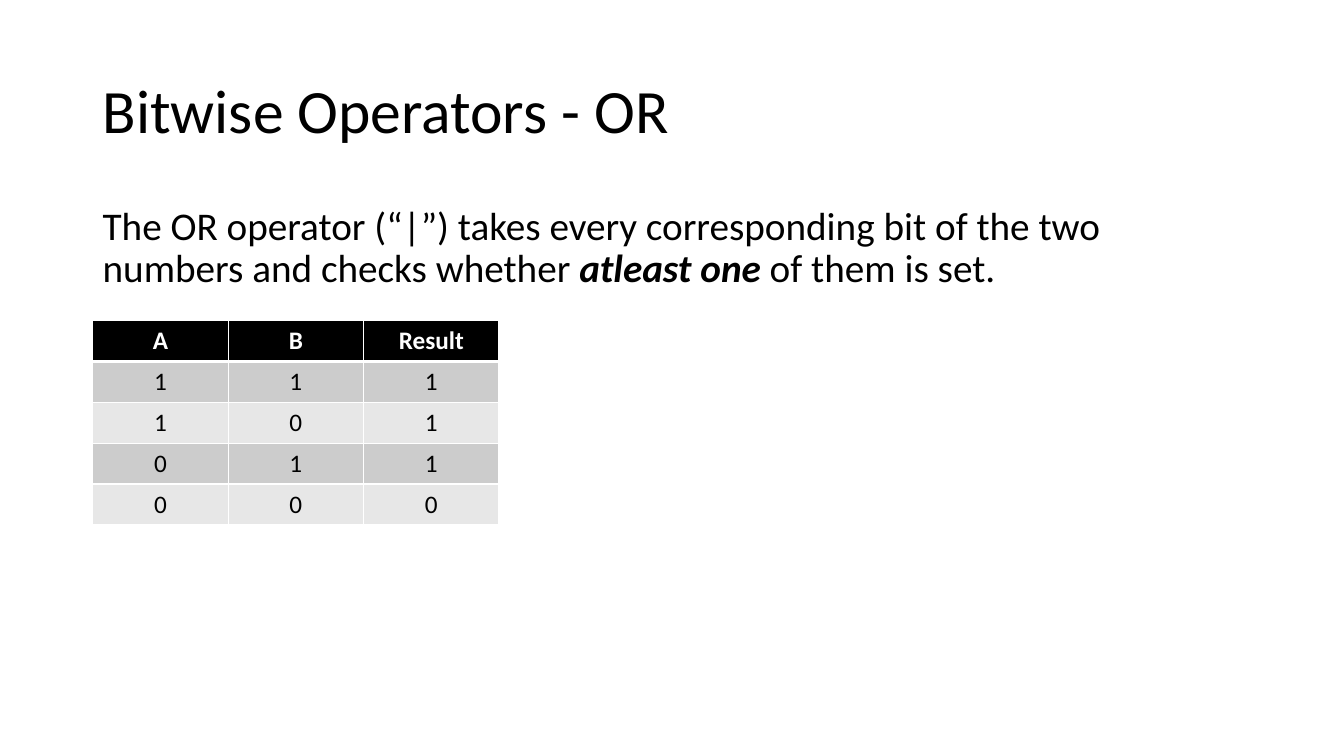
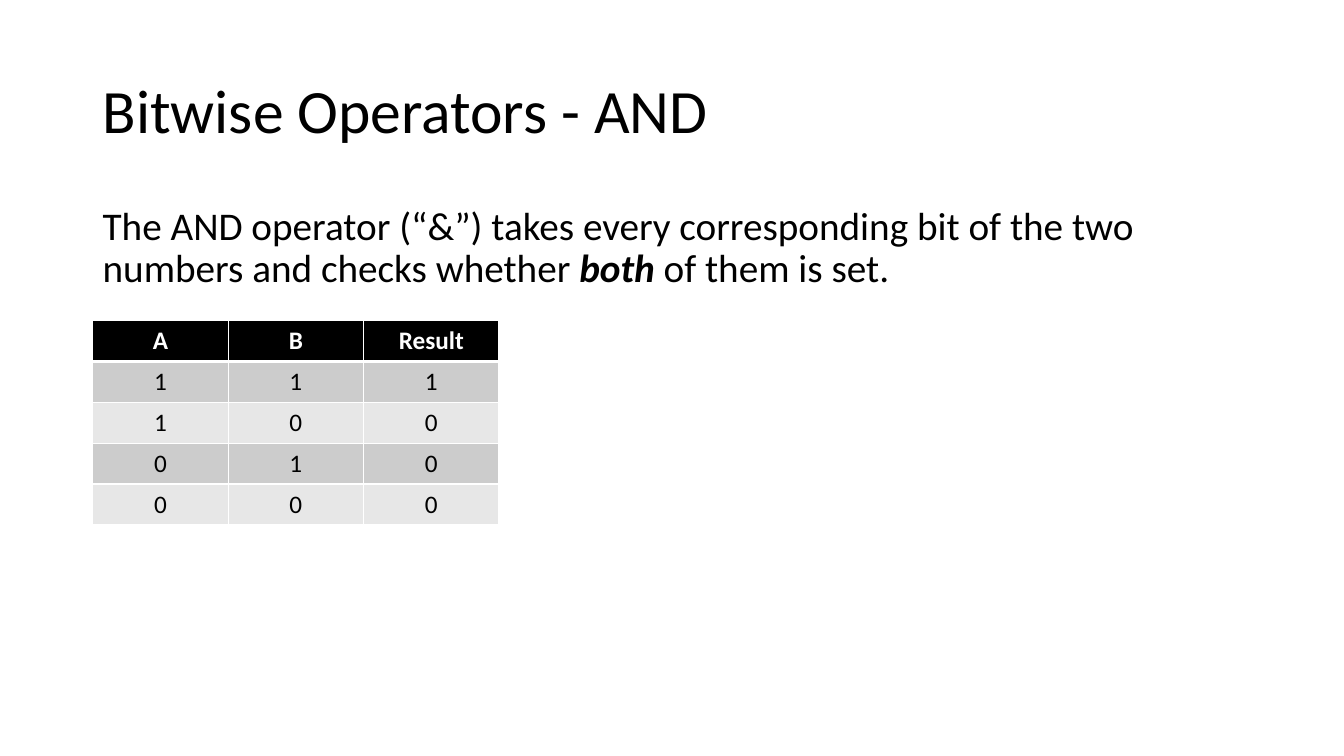
"""Two slides on bitwise operators, each with a truth table."""
from itertools import product

from lxml.etree import SubElement
from pptx import Presentation
from pptx.dml.color import RGBColor as RGB
from pptx.enum.text import MSO_ANCHOR as ANCHOR, PP_ALIGN as ALIGN
from pptx.oxml.ns import qn
from pptx.util import Inches, Pt

COLORS = {
    "ink": "000000",
    "paper": "FFFFFF",
    "band_dark": "CCCCCC",
    "band_light": "E7E7E7",
}
FONT = "Calibri"

# Percent of the slide's width (left, width) and height (top, height)
LEFT, WIDTH = 6.9, 86.25
TITLE_TOP, TITLE_HEIGHT = 5.33, 19.33
BODY_TOP, BODY_HEIGHT = 26.67, 63.47
TABLE_TOP, COLUMN, ROW = 42.4, 10.08, 5.41


class Deck:
    """Holds the presentation, its style and the current slide."""

    def __init__(self):
        """Start an empty widescreen presentation."""
        self.prs = Presentation()
        self.prs.slide_width = Inches(13.33)
        self.prs.slide_height = Inches(7.5)
        self.slide = None

    def across(self, percent):
        """Turn a percentage of the slide's width into a length."""
        return int(self.prs.slide_width * percent / 100)

    def down(self, percent):
        """Turn a percentage of the slide's height into a length."""
        return int(self.prs.slide_height * percent / 100)

    def new_slide(self):
        """Add a blank slide and make it current."""
        self.slide = self.prs.slides.add_slide(self.prs.slide_layouts[6])

    def style(self, paragraph, size, color="ink"):
        """Set a paragraph's font, size and colour."""
        font = paragraph.font
        font.name, font.size = FONT, Pt(size)
        font.color.rgb = RGB.from_string(COLORS[color])

    def text(self, top, height, size, anchor):
        """Add a full-width text box and return its first paragraph."""
        box = self.slide.shapes.add_textbox(
            self.across(LEFT), self.down(top), self.across(WIDTH), self.down(height))
        frame = box.text_frame
        frame.word_wrap = True
        frame.vertical_anchor = anchor
        paragraph = frame.paragraphs[0]
        paragraph.line_spacing = 0.9
        self.style(paragraph, size)
        return paragraph

    def title(self, wording):
        """Add the slide's title."""
        line = self.text(TITLE_TOP, TITLE_HEIGHT, 44, ANCHOR.MIDDLE)
        line.add_run().text = wording

    def body(self, before, stressed, after):
        """Add the explanation, with its key words in bold italics."""
        sentence = self.text(BODY_TOP, BODY_HEIGHT, 28, ANCHOR.TOP)
        sentence.space_before = Pt(10)
        for wording in (before, stressed, after):
            run = sentence.add_run()
            run.text = wording
            if wording == stressed:
                run.font.bold = run.font.italic = True

    def borders(self, cell, **widths):
        """Draw a cell's borders in the order L, R, T, B."""
        properties = cell._tc.get_or_add_tcPr()
        for side, width in widths.items():
            line = SubElement(properties, qn(f"a:ln{side}"), w=str(Pt(width)))
            fill = SubElement(line, qn("a:solidFill"))
            SubElement(fill, qn("a:srgbClr"), val=COLORS["paper"])

    def table(self, rows):
        """Add a banded table whose first row is the header."""
        count, columns = len(rows), len(rows[0])
        grid = self.slide.shapes.add_table(
            count, columns, self.across(LEFT), self.down(TABLE_TOP),
            self.across(COLUMN * columns), self.down(ROW * count)).table
        for (r, row) in enumerate(rows):
            header = r == 0
            band = "ink" if header else "band_dark" if r % 2 else "band_light"
            for c, value in enumerate(row):
                cell = grid.cell(r, c)
                cell.text = str(value)
                self.borders(cell, L=1, R=1, T=3 if r == 1 else 1, B=3 if header else 1)
                cell.fill.solid()
                cell.fill.fore_color.rgb = RGB.from_string(COLORS[band])
                paragraph = cell.text_frame.paragraphs[0]
                paragraph.alignment = ALIGN.CENTER
                self.style(paragraph, 18, "paper" if header else "ink")
                paragraph.font.bold = header


def operator_slide(deck, name, symbol, condition, result):
    """Add one operator's slide, its truth table worked out by result."""
    deck.new_slide()
    deck.title(f"Bitwise Operators - {name}")
    deck.body(
        f"The {name} operator (“{symbol}”) takes every corresponding bit "
        "of the two numbers and checks whether ",
        condition, " of them is set.")
    bits = [(a, b, result(a, b)) for a, b in product((1, 0), repeat=2)]
    deck.table([("A", "B", "Result"), *bits])


deck = Deck()
operator_slide(deck, "OR", "|", "atleast one", lambda a, b: a | b)
operator_slide(deck, "AND", "&", "both", lambda a, b: a & b)
deck.prs.save("out.pptx")
